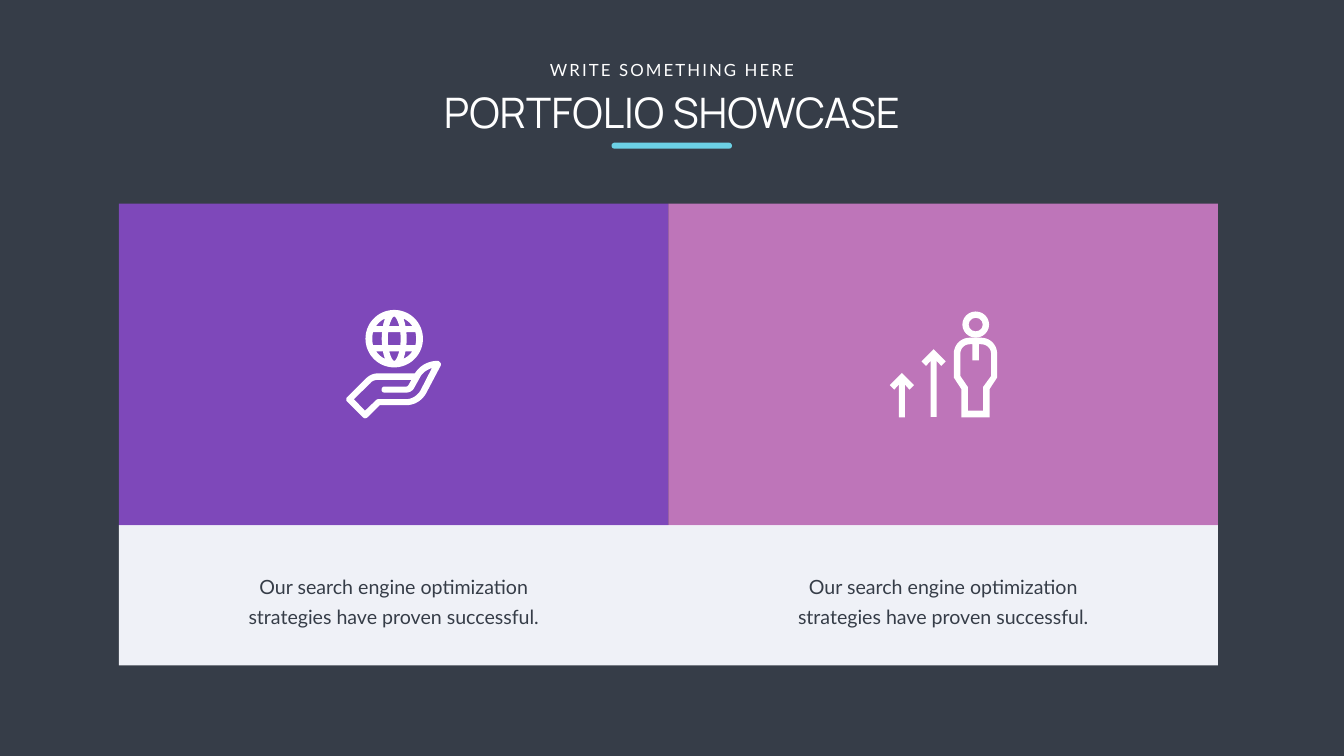
from math import cos, pi, sin

from lxml import etree
from pptx import Presentation
from pptx.dml.color import RGBColor
from pptx.enum.shapes import MSO_SHAPE
from pptx.enum.text import PP_ALIGN
from pptx.oxml.ns import qn
from pptx.util import Inches, Pt

RECT, ROUND, DONUT = MSO_SHAPE.RECTANGLE, MSO_SHAPE.ROUNDED_RECTANGLE, MSO_SHAPE.DONUT
CENTER = PP_ALIGN.CENTER

THEME = {
    "background": "363D48", "white": "FFFFFF", "accent": "6CD1E5", "band": "EFF1F7",
    "title_font": "Manrope", "body_font": "Lato",
    "title_size": 60, "kicker_size": 24, "body_size": 28, "body_line": 43,
}

TITLE = "PORTFOLIO SHOWCASE"
KICKER = "WRITE SOMETHING HERE"
PANELS = [
    ("914BD7", "Our search engine optimization strategies have proven successful."),
    ("E184D6", "Our search engine optimization strategies have proven successful."),
]

SLIDE_W, SLIDE_H = 26.66, 15
PANEL_X, PANEL_Y, PANEL_W, PANEL_H = 2.36, 4.04, 10.9, 6.38
BAND_H = 2.78
CAPTION_Y, CAPTION_W, CAPTION_H = 11.16, 6.33, 1.39

# Two numbers make a corner, six numbers make a cubic curve.
HAND = [
    [(8.34, 7.75), (8.28, 7.85, 8.17, 7.92, 8.06, 7.92), (7.5, 7.92),
     (7.49, 7.92, 7.47, 7.93, 7.46, 7.94), (7.24, 8.15), (7.02, 7.92), (7.35, 7.6),
     (7.38, 7.56, 7.43, 7.54, 7.48, 7.54), (8.16, 7.54), (8.11, 7.63),
     (8.1, 7.65, 8.08, 7.67, 8.06, 7.67), (7.63, 7.67),
     (7.59, 7.67, 7.57, 7.7, 7.57, 7.73), (7.57, 7.77, 7.59, 7.79, 7.63, 7.79),
     (8.06, 7.79), (8.13, 7.79, 8.19, 7.75, 8.22, 7.69), (8.32, 7.51),
     (8.37, 7.4, 8.46, 7.34, 8.57, 7.3)],
    [(8.73, 7.19), (8.72, 7.18, 8.7, 7.16, 8.68, 7.16),
     (8.49, 7.16, 8.32, 7.26, 8.23, 7.41), (7.48, 7.41),
     (7.4, 7.41, 7.32, 7.45, 7.26, 7.51), (6.89, 7.88),
     (6.87, 7.89, 6.87, 7.91, 6.87, 7.92), (6.87, 7.94, 6.87, 7.96, 6.89, 7.97),
     (7.2, 8.28), (7.21, 8.29, 7.23, 8.3, 7.24, 8.3),
     (7.26, 8.3, 7.28, 8.29, 7.29, 8.28), (7.53, 8.04), (8.06, 8.04),
     (8.22, 8.04, 8.37, 7.95, 8.45, 7.81), (8.74, 7.26),
     (8.75, 7.24, 8.75, 7.21, 8.73, 7.19)],
]
BODY = [
    [(19.66, 7.46), (19.5, 7.68), (19.5, 8.15), (19.2, 8.15), (19.2, 7.68),
     (19.05, 7.46), (19.05, 7.02), (19.05, 6.91, 19.13, 6.83, 19.24, 6.83),
     (19.29, 6.83), (19.29, 7.15), (19.42, 7.15), (19.42, 6.83), (19.46, 6.83),
     (19.57, 6.83, 19.66, 6.91, 19.66, 7.02)],
    [(19.46, 6.7), (19.24, 6.7), (19.06, 6.7, 18.92, 6.84, 18.92, 7.02),
     (18.92, 7.49), (19.07, 7.72), (19.07, 8.28), (19.63, 8.28), (19.63, 7.72),
     (19.78, 7.49), (19.78, 7.02), (19.78, 6.84, 19.64, 6.7, 19.46, 6.7)],
]
HEAD = (19.09, 6.18, 0.53, 0.52)
ARROWS = [(18.52, 6.93, 8.27), (17.89, 7.4, 8.28)]
GLOBE_X, GLOBE_Y, GLOBE_R = 7.82, 6.72, 0.57
GLOBE_CENTER = [(-0.12, -0.13), (0.12, -0.13), (0.13, -0.05, 0.13, 0.05, 0.12, 0.13),
                (-0.12, 0.13), (-0.13, 0.05, -0.13, -0.05, -0.12, -0.13)]
GLOBE_SIDE = [(0.24, -0.13), (0.42, -0.13), (0.44, -0.05, 0.44, 0.05, 0.42, 0.13),
              (0.24, 0.13), (0.25, 0.05, 0.25, -0.05, 0.24, -0.13)]
GLOBE_TOP = [(-0.1, -0.25), (-0.07, -0.36, -0.03, -0.44, 0, -0.44),
             (0.03, -0.44, 0.07, -0.36, 0.1, -0.25)]
GLOBE_CORNER = [(0.36, -0.25), (0.22, -0.25), (0.22, -0.3, 0.2, -0.34, 0.19, -0.38),
                (0.18, -0.4), (0.25, -0.37, 0.31, -0.32, 0.36, -0.25)]


def flatten(contour, steps=10):
    points = []
    for item in contour:
        if len(item) == 2:
            points.append(item)
            continue
        x0, y0 = points[-1]
        x1, y1, x2, y2, x3, y3 = item
        for i in range(1, steps + 1):
            t = i / steps
            a, b, c, d = (1 - t) ** 3, 3 * t * (1 - t) ** 2, 3 * t * t * (1 - t), t ** 3
            points.append((a * x0 + b * x1 + c * x2 + d * x3,
                           a * y0 + b * y1 + c * y2 + d * y3))
    return points


def paint(sp, color, alpha=None):
    sp.shadow.inherit = False
    sp.fill.solid()
    sp.fill.fore_color.rgb = RGBColor.from_string(color)
    sp.line.fill.background()
    if alpha:
        clr = sp.fill._xPr.find(qn("a:solidFill"))[0]
        etree.SubElement(clr, qn("a:alpha")).set("val", str(alpha * 1000))
    return sp


def add_block(s, kind, box, color, alpha=None):
    return paint(s.shapes.add_shape(kind, *map(Inches, box)), color, alpha)


def add_outline(s, contours):
    builder = None
    for contour in contours:
        points = [(Inches(x), Inches(y)) for x, y in flatten(contour)]
        if builder is None:
            builder = s.shapes.build_freeform(*points[0])
        else:
            builder.move_to(*points[0])
        builder.add_line_segments(points[1:], close=True)
    return paint(builder.convert_to_shape(), THEME["white"])


def add_text(s, box, text, font, size, color, wrap=True, insets=(0.1, 0.05), line=None, spacing=None):
    tf = s.shapes.add_textbox(*map(Inches, box)).text_frame
    tf.word_wrap = wrap
    tf.margin_left = tf.margin_right = Inches(insets[0])
    tf.margin_top = tf.margin_bottom = Inches(insets[1])
    p = tf.paragraphs[0]
    p.text = text
    p.alignment = CENTER
    if line:
        p.line_spacing = Pt(line)
    r = p.runs[0]
    r.font.name, r.font.size = font, Pt(size)
    r.font.color.rgb = RGBColor.from_string(color)
    if spacing:
        r.font._element.set("spc", str(spacing * 100))


def globe_contours():
    disc = [(GLOBE_R * cos(i * pi / 36), GLOBE_R * sin(i * pi / 36)) for i in range(72)]
    cells = [(disc, 1, 1), (GLOBE_CENTER, 1, 1)]
    cells += [(GLOBE_SIDE, sx, 1) for sx in (1, -1)]
    cells += [(GLOBE_TOP, 1, sy) for sy in (1, -1)]
    cells += [(GLOBE_CORNER, sx, sy) for sx in (1, -1) for sy in (1, -1)]
    return [[(GLOBE_X + sx * x, GLOBE_Y + sy * y) for x, y in flatten(cell)]
            for cell, sx, sy in cells]


def arrow_contour(x, top, bottom):
    right = [(0.24, top + 0.24), (0.15, top + 0.33), (0.06, top + 0.23), (0.06, bottom)]
    left = [(-dx, y) for dx, y in reversed(right)]
    return [(x + dx, y) for dx, y in [(0, top)] + right + left]


def main():
    prs = Presentation()
    prs.slide_width, prs.slide_height = Inches(SLIDE_W), Inches(SLIDE_H)
    s = prs.slides.add_slide(prs.slide_layouts[6])
    s.background.fill.solid()
    s.background.fill.fore_color.rgb = RGBColor.from_string(THEME["background"])

    add_text(s, (5.3, 1.67, 16.06, 1.11), TITLE, THEME["title_font"],
             THEME["title_size"], THEME["white"])
    add_text(s, (10.76, 1.13, 5.14, 0.5), KICKER, THEME["body_font"],
             THEME["kicker_size"], THEME["white"], wrap=False, spacing=3)
    add_block(s, ROUND, (12.13, 2.83, 2.39, 0.12), THEME["accent"]).adjustments[0] = 0.5

    band_w = PANEL_W * len(PANELS)
    add_block(s, RECT, (PANEL_X, PANEL_Y + PANEL_H, band_w, BAND_H), THEME["band"])
    for i, (color, caption) in enumerate(PANELS):
        x = PANEL_X + i * PANEL_W
        add_block(s, RECT, (x, PANEL_Y, PANEL_W, PANEL_H), color, alpha=80)
        add_text(s, (x + (PANEL_W - CAPTION_W) / 2, CAPTION_Y, CAPTION_W, CAPTION_H),
                 caption, THEME["body_font"], THEME["body_size"], THEME["background"],
                 insets=(0.24, 0.12), line=THEME["body_line"])

    add_outline(s, BODY)
    add_block(s, DONUT, HEAD, THEME["white"]).adjustments[0] = 0.24
    for arrow in ARROWS:
        add_outline(s, [arrow_contour(*arrow)])
    add_outline(s, HAND)
    add_outline(s, globe_contours())
    prs.save("out.pptx")


if __name__ == "__main__":
    main()
